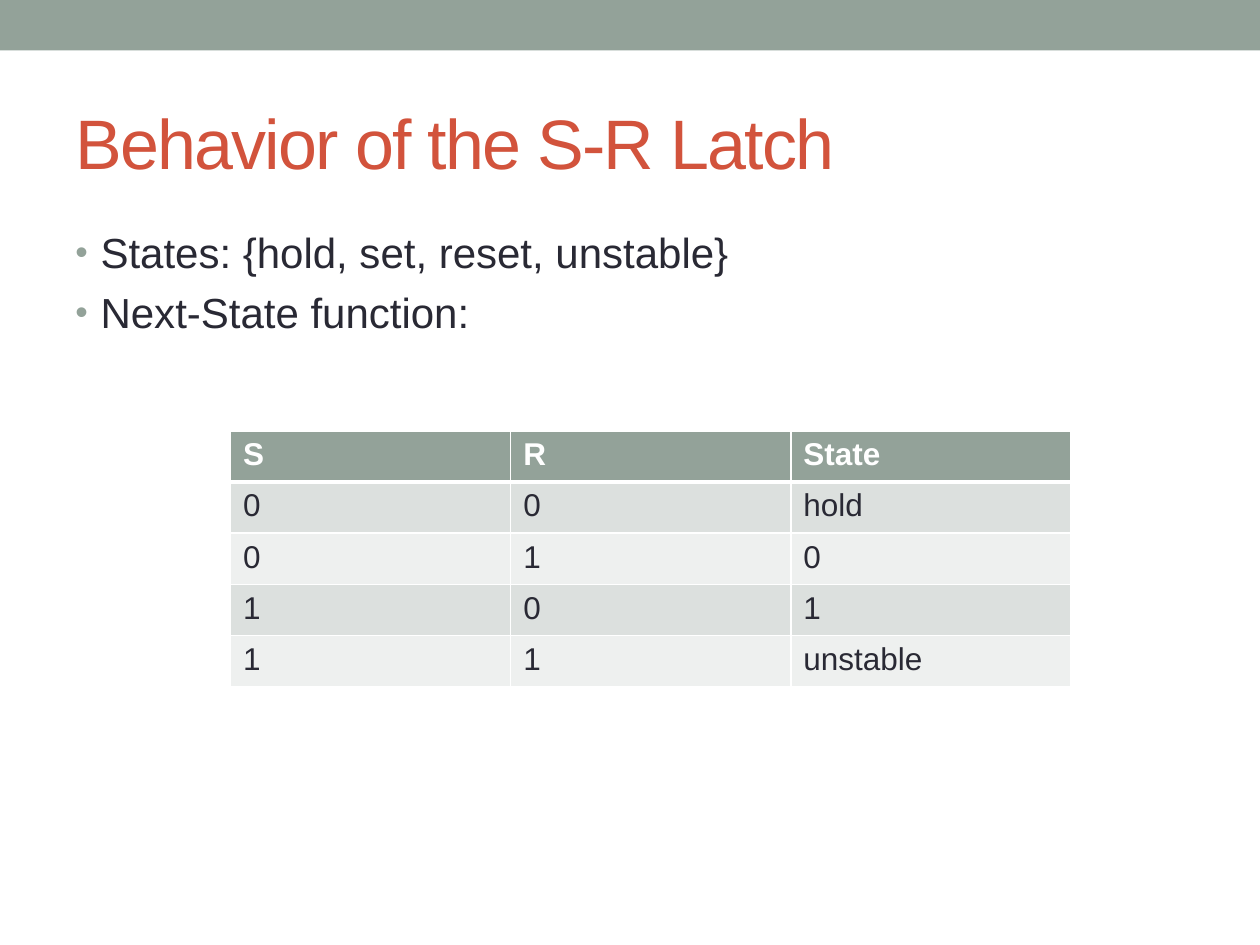
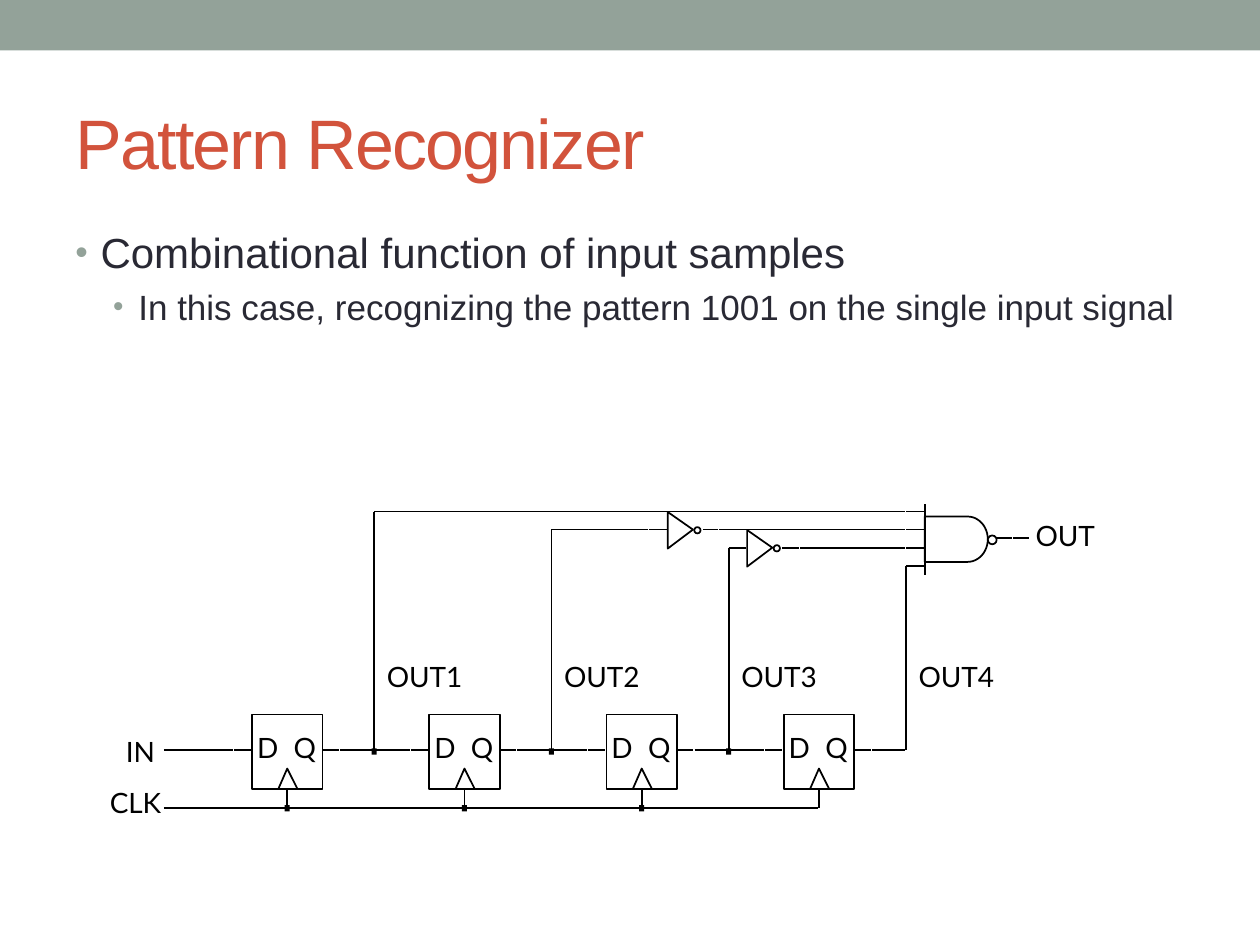
from dataclasses import dataclass
from itertools import pairwise
from math import cos, pi, sin

from lxml.etree import SubElement
from pptx import Presentation
from pptx.dml.color import RGBColor
from pptx.enum.shapes import MSO_CONNECTOR, MSO_SHAPE
from pptx.enum.text import MSO_ANCHOR, PP_ALIGN
from pptx.oxml.ns import qn
from pptx.util import Inches, Pt


@dataclass(frozen=True)
class Theme:
    """Colours, fonts and type sizes of the deck."""
    accent: str = "93A299"
    heading: str = "D2533C"
    ink: str = "292934"
    black: str = "000000"
    white: str = "FFFFFF"
    bands: tuple = ("DCE0DE", "EEF0EF")
    font: str = "Arial"
    label_font: str = "Lato"
    title_size: int = 40
    body_sizes: tuple = (24, 20)
    table_size: int = 18
    label_size: int = 16
    label_leading: float = 16.8


THEME = Theme()

# The page is a grid of one-inch cells.
COLUMNS, ROWS = 10, 7.5
MARGIN = 0.5
CONTENT_WIDTH = COLUMNS - 2 * MARGIN
BODY_INDENTS = (0.2, 0.5)

# Circuit: four equal stages, and four gate inputs at equal steps.
STAGES = 4
FIRST_STAGE, LAST_STAGE = 2, 6.22
PITCH = (LAST_STAGE - FIRST_STAGE) / (STAGES - 1)
STAGE_LEFTS = [FIRST_STAGE + PITCH * i for i in range(STAGES)]
TAPS = [left + 0.97 for left in STAGE_LEFTS]
INPUT_ROWS = [4.06 + 0.43 * i / (STAGES - 1) for i in range(STAGES)]
DATA_ROW, CLOCK_ROW = 5.95, 6.41
CLOCK_OFFSET = 0.28
FLOP_TOP, FLOP_WIDTH, FLOP_HEIGHT = 5.67, 0.56, 0.59
SUPPLY_LEFT, GATE_LEFT = 1.3, 7.34
WIRE_GAP = 0.01


def rgb(colour):
    """Turn a hex string into a colour."""
    return RGBColor.from_string(colour)


def style(font, size, colour, name=THEME.font, bold=False):
    """Set the look of a font."""
    font.name, font.size, font.bold = name, Pt(size), bold
    font.color.rgb = rgb(colour)


def paint(shape, fill=None, line=None):
    """Give a shape its fill and outline, without a shadow."""
    shape.shadow.inherit = False
    if fill:
        shape.fill.solid()
        shape.fill.fore_color.rgb = rgb(fill)
    else:
        shape.fill.background()
    if line:
        shape.line.color.rgb = rgb(line)
        shape.line.width = Pt(1)
    else:
        shape.line.fill.background()


def add_preset(page, kind, area, fill=None, line=None):
    """Draw a preset shape over an area (left, top, width, height)."""
    paint(page.shapes.add_shape(kind, *map(Inches, area)), fill, line)


def add_outline(page, points, closed=True, fill=None):
    """Draw a black outline through points."""
    corners = [(Inches(x), Inches(y)) for x, y in points]
    builder = page.shapes.build_freeform(*corners[0], scale=1.0)
    builder.add_line_segments(corners[1:], close=closed)
    paint(builder.convert_to_shape(), fill, THEME.black)


def add_line(page, x1, y1, x2, y2):
    """Draw one straight black line."""
    line = page.shapes.add_connector(
        MSO_CONNECTOR.STRAIGHT, *map(Inches, (x1, y1, x2, y2)))
    line.line.color.rgb = rgb(THEME.black)
    line.line.width = Pt(1)
    SubElement(line._element.spPr, qn("a:effectLst"))


def add_wire(page, y, *stops):
    """Draw a level wire in pieces, with a hair gap before each stop."""
    for start, end in pairwise(stops):
        add_line(page, start, y, end - WIRE_GAP, y)


def add_node(page, x, y):
    """Mark a junction of wires."""
    add_preset(page, MSO_SHAPE.RECTANGLE, (x - 0.02, y - 0.01, 0.04, 0.05),
               THEME.black)


def add_text_box(page, area):
    """Add a wrapping text box and return its frame."""
    frame = page.shapes.add_textbox(*map(Inches, area)).text_frame
    frame.word_wrap = True
    return frame


def add_label(page, text, left, top, width, align=PP_ALIGN.LEFT):
    """Write a circuit label on one line."""
    frame = add_text_box(page, (left, top, width, 0.37))
    frame.word_wrap = False
    frame.margin_left = frame.margin_right = Inches(0.02)
    frame.margin_top = frame.margin_bottom = Inches(0.03)
    para = frame.paragraphs[0]
    para.text, para.alignment = text, align
    para.line_spacing = Pt(THEME.label_leading)
    style(para.font, THEME.label_size, THEME.black, THEME.label_font)


def add_bullet(para, indent):
    """Hang a paragraph from an accent-coloured bullet."""
    props = para._p.get_or_add_pPr()
    props.set("marL", str(Inches(indent)))
    props.set("indent", str(-Inches(0.2)))
    colour = SubElement(props, qn("a:buClr"))
    SubElement(colour, qn("a:srgbClr"), val=THEME.accent)
    SubElement(props, qn("a:buSzPct"), val="85000")
    SubElement(props, qn("a:buFont"), typeface=THEME.font)
    SubElement(props, qn("a:buChar"), char="•")


def add_page(deck, title, items):
    """Start a page with band, title and bulleted (level, text) items."""
    page = deck.slides.add_slide(deck.slide_layouts[6])
    add_preset(page, MSO_SHAPE.RECTANGLE, (0, 0, COLUMNS, 0.4), THEME.accent)

    frame = add_text_box(page, (MARGIN, 0.58, CONTENT_WIDTH, 1.08))
    frame.vertical_anchor = MSO_ANCHOR.MIDDLE
    para = frame.paragraphs[0]
    span = para.add_run()
    span.text = title
    span._r.get_or_add_rPr().set("spc", "-100")
    style(para.font, THEME.title_size, THEME.heading)

    frame = add_text_box(page, (MARGIN, 1.75, CONTENT_WIDTH, 5.33))
    for index, (level, text) in enumerate(items):
        para = frame.add_paragraph() if index else frame.paragraphs[0]
        para.text, para.level = text, level
        add_bullet(para, BODY_INDENTS[level])
        size = THEME.body_sizes[level]
        para.space_before = Pt(0.23 * size)
        style(para.font, size, THEME.ink)
    return page


def add_borders(cell, top=1, bottom=1):
    """Rule a cell in white; widths are in points."""
    props = cell._tc.get_or_add_tcPr()
    for side, width in (("L", 1), ("R", 1), ("T", top), ("B", bottom)):
        line = SubElement(props, qn(f"a:ln{side}"), w=str(Pt(width)))
        fill = SubElement(line, qn("a:solidFill"))
        SubElement(fill, qn("a:srgbClr"), val=THEME.white)


def add_state_table(page, rows, area):
    """Add a table with a header row and banded body rows."""
    table = page.shapes.add_table(
        len(rows), len(rows[0]), *map(Inches, area)).table
    for r, row in enumerate(rows):
        header = r == 0
        for c, text in enumerate(row):
            cell = table.cell(r, c)
            cell.text = text
            add_borders(cell, top=3 if r == 1 else 1, bottom=3 if header else 1)
            cell.fill.solid()
            cell.fill.fore_color.rgb = rgb(
                THEME.accent if header else THEME.bands[(r - 1) % 2])
            style(cell.text_frame.paragraphs[0].font, THEME.table_size,
                  THEME.white if header else THEME.ink, bold=header)


def add_inverter(page, left, y):
    """Draw a triangle with a bubble at its tip."""
    add_outline(page, [(left, y - 0.14), (left + 0.2, y), (left, y + 0.15)])
    add_preset(page, MSO_SHAPE.OVAL, (left + 0.21, y - 0.02, 0.05, 0.05),
               line=THEME.black)


def add_gate(page):
    """Draw the rounded output gate with its input bar and bubble."""
    middle, reach, half, shoulder = 4.28, 0.16, 0.18, 7.68
    steps = 24
    angles = [pi * (i / steps - 0.5) for i in range(steps + 1)]
    curve = [(shoulder + reach * cos(a), middle + half * sin(a))
             for a in angles]
    add_outline(page, [(GATE_LEFT, middle - half), *curve,
                       (GATE_LEFT, middle + half)], fill=THEME.white)
    add_line(page, GATE_LEFT, 4, GATE_LEFT, 4.56)
    add_preset(page, MSO_SHAPE.OVAL, (7.84, 4.25, 0.07, 0.07),
               THEME.white, THEME.black)
    add_wire(page, 4.27, 7.91, 8.04, 8.18)
    add_label(page, "OUT", 8.2, 4.12, 0.86)


def add_flip_flop(page, left):
    """Draw one D flip-flop with its clock notch and clock lead."""
    bottom, clock = FLOP_TOP + FLOP_HEIGHT, left + CLOCK_OFFSET
    add_preset(page, MSO_SHAPE.RECTANGLE,
               (left, FLOP_TOP, FLOP_WIDTH, FLOP_HEIGHT),
               THEME.white, THEME.black)
    add_outline(page, [(clock - 0.07, bottom), (clock, bottom - 0.16),
                       (clock + 0.08, bottom)], closed=False)
    add_label(page, "D", left + 0.02, 5.8, 0.27)
    add_label(page, "Q", left + 0.31, 5.8, 0.27)
    add_line(page, clock, bottom, clock, CLOCK_ROW)


def add_shift_register(page):
    """Draw the chain of flip-flops with data, clock and tap wires."""
    add_label(page, "IN", 0.67, 5.83, 0.58, PP_ALIGN.RIGHT)
    add_label(page, "CLK", 0.75, 6.24, 0.55, PP_ALIGN.RIGHT)
    add_wire(page, DATA_ROW, SUPPLY_LEFT, 1.86, FIRST_STAGE)
    clocks = [left + CLOCK_OFFSET for left in STAGE_LEFTS]
    add_wire(page, CLOCK_ROW, SUPPLY_LEFT, *clocks)

    for index, (left, tap, row) in enumerate(
            zip(STAGE_LEFTS, TAPS, INPUT_ROWS)):
        add_flip_flop(page, left)
        output = left + FLOP_WIDTH
        add_wire(page, DATA_ROW, output, output + 0.14, tap)
        add_line(page, tap, row, tap, DATA_ROW)
        add_label(page, f"OUT{index + 1}", tap + 0.08, 5.24, 0.78)
        if index < STAGES - 1:
            add_wire(page, DATA_ROW, tap, tap + 0.29, left + PITCH)
            add_node(page, tap, DATA_ROW)
            add_node(page, clocks[index], CLOCK_ROW - 0.01)


def add_recognizer(page):
    """Lead the taps to the gate, inverting the two middle ones."""
    first, second, third, fourth = INPUT_ROWS
    entry = TAPS[-1]
    add_wire(page, first, TAPS[0], entry, GATE_LEFT)
    add_wire(page, second, TAPS[1], 5.15, 5.3)
    add_inverter(page, 5.3, second)
    add_wire(page, second, 5.58, 5.71, entry, GATE_LEFT)
    add_wire(page, third, TAPS[2], 5.93)
    add_inverter(page, 5.93, third)
    add_wire(page, third, 6.21, 6.35, entry, GATE_LEFT)
    add_wire(page, fourth, entry, GATE_LEFT)
    add_gate(page)


def main():
    """Build and save both pages."""
    deck = Presentation()
    deck.slide_width, deck.slide_height = Inches(COLUMNS), Inches(ROWS)

    page = add_page(deck, "Behavior of the S-R Latch", [
        (0, "States: {hold, set, reset, unstable}"),
        (0, "Next-State function:")])
    add_state_table(page, [
        ("S", "R", "State"), ("0", "0", "hold"), ("0", "1", "0"),
        ("1", "0", "1"), ("1", "1", "unstable")], (1.83, 3.42, 6.67, 2.03))

    page = add_page(deck, "Pattern Recognizer", [
        (0, "Combinational function of input samples"),
        (1, "In this case, recognizing the pattern 1001 "
            "on the single input signal")])
    add_shift_register(page)
    add_recognizer(page)

    deck.save("out.pptx")


main()
